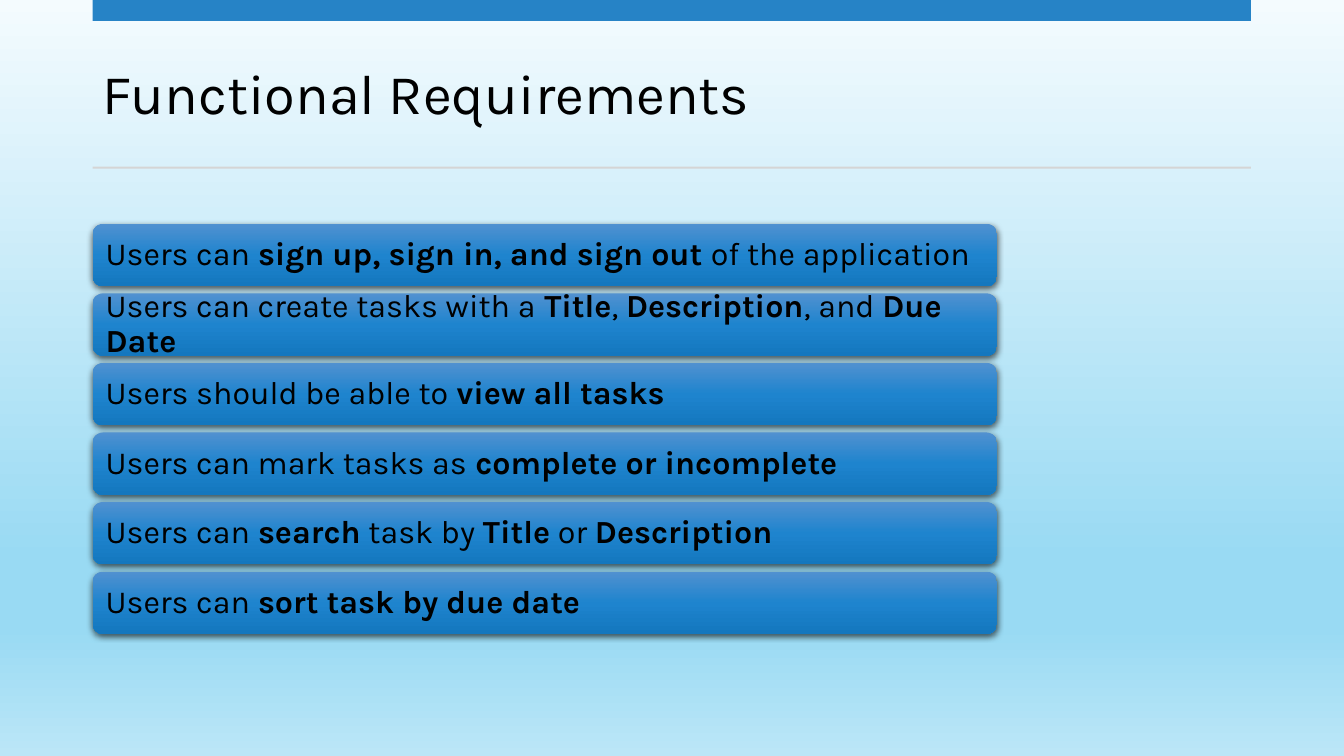
from lxml import etree
from pptx import Presentation
from pptx.dml.color import RGBColor
from pptx.enum import shapes, text
from pptx.oxml import parse_xml
from pptx.oxml.ns import nsdecls, qn
from pptx.util import Pt

COLOURS = {"text": "000000", "accent": "2683C6", "rule": "D5D5D5", "shadow": "000000"}
SKY = [(0, "F4FBFE"), (74, "99DAF3"), (83, "99DAF3"), (100, "BBE6F7")]
BAR_BLUE = [(0, "5191D0"), (50, "1E84CE"), (100, "1477BE")]
FONT = "Karla"
LEFT, WIDTH = 66.24, 827.28
BAR_TOP, BAR_WIDTH, BAR_HEIGHT, BAR_STEP = 159.84, 645.84, 44.64, 49.68

# Double asterisks enclose bold words.
REQUIREMENTS = [
    "Users can **sign up, sign in, and sign out** of the application",
    "Users can create tasks with a **Title**, **Description**, and **Due Date**",
    "Users should be able to **view all tasks**",
    "Users can mark tasks as **complete or incomplete**",
    "Users can **search** task by **Title** or **Description**",
    "Users can **sort task by due date**",
]


def set_gradient(fill, owner, stops):
    """Give the fill inside the owner element a top-to-bottom gradient."""
    fill.gradient()
    old = next(owner.iter(qn("a:gradFill")))
    marks = "".join(
        f'<a:gs pos="{percent * 1000}"><a:srgbClr val="{colour}"/></a:gs>'
        for percent, colour in stops)
    old.getparent().replace(old, parse_xml(
        f'<a:gradFill rotWithShape="1" {nsdecls("a")}><a:gsLst>{marks}</a:gsLst>'
        '<a:lin ang="5400000" scaled="0"/></a:gradFill>'))


def set_shadow(shape):
    shape.shadow.inherit = False
    effects = shape._element.spPr.find(qn("a:effectLst"))
    shadow = etree.SubElement(effects, qn("a:outerShdw"), blurRad=str(Pt(4.5)),
                              dist=str(Pt(1.5)), dir="5400000", rotWithShape="0")
    colour = etree.SubElement(shadow, qn("a:srgbClr"), val=COLOURS["shadow"])
    etree.SubElement(colour, qn("a:alpha"), val="63000")


def write(shape, words, size, inset=7.2):
    frame = shape.text_frame
    frame.word_wrap = True
    frame.vertical_anchor = text.MSO_ANCHOR.MIDDLE
    frame.margin_left = frame.margin_right = Pt(inset)
    frame.margin_top = frame.margin_bottom = Pt(inset)
    para = frame.paragraphs[0]
    para.alignment = text.PP_ALIGN.LEFT
    para.line_spacing = 0.9
    for index, part in enumerate(words.split("**")):
        if part:
            span = para.add_run()
            span.text = part
            span.font.name = FONT
            span.font.size = Pt(size)
            span.font.bold = index % 2 == 1
            span.font.color.rgb = RGBColor.from_string(COLOURS["text"])


def add_band(page, top, height, colour):
    band = page.shapes.add_shape(shapes.MSO_SHAPE.RECTANGLE,
                                 Pt(LEFT), Pt(top), Pt(WIDTH), Pt(height))
    band.shadow.inherit = False
    band.line.fill.background()
    band.fill.solid()
    band.fill.fore_color.rgb = RGBColor.from_string(COLOURS[colour])


def add_requirement(page, top, words):
    bar = page.shapes.add_shape(shapes.MSO_SHAPE.ROUNDED_RECTANGLE,
                                Pt(LEFT), Pt(top), Pt(BAR_WIDTH), Pt(BAR_HEIGHT))
    set_gradient(bar.fill, bar._element.spPr, BAR_BLUE)
    bar.line.fill.background()
    set_shadow(bar)
    write(bar, words, size=23)


def main():
    deck = Presentation()
    deck.slide_width, deck.slide_height = Pt(960), Pt(540)
    page = deck.slides.add_slide(deck.slide_layouts[6])
    set_gradient(page.background.fill, page.element, SKY)

    title = page.shapes.add_textbox(Pt(LEFT), Pt(26.64), Pt(WIDTH), Pt(84.96))
    write(title, "Functional Requirements", size=40)
    add_band(page, top=0, height=15, colour="accent")
    add_band(page, top=119, height=1.44, colour="rule")
    for row, words in enumerate(REQUIREMENTS):
        add_requirement(page, BAR_TOP + row * BAR_STEP, words)

    deck.save("out.pptx")


if __name__ == "__main__":
    main()
